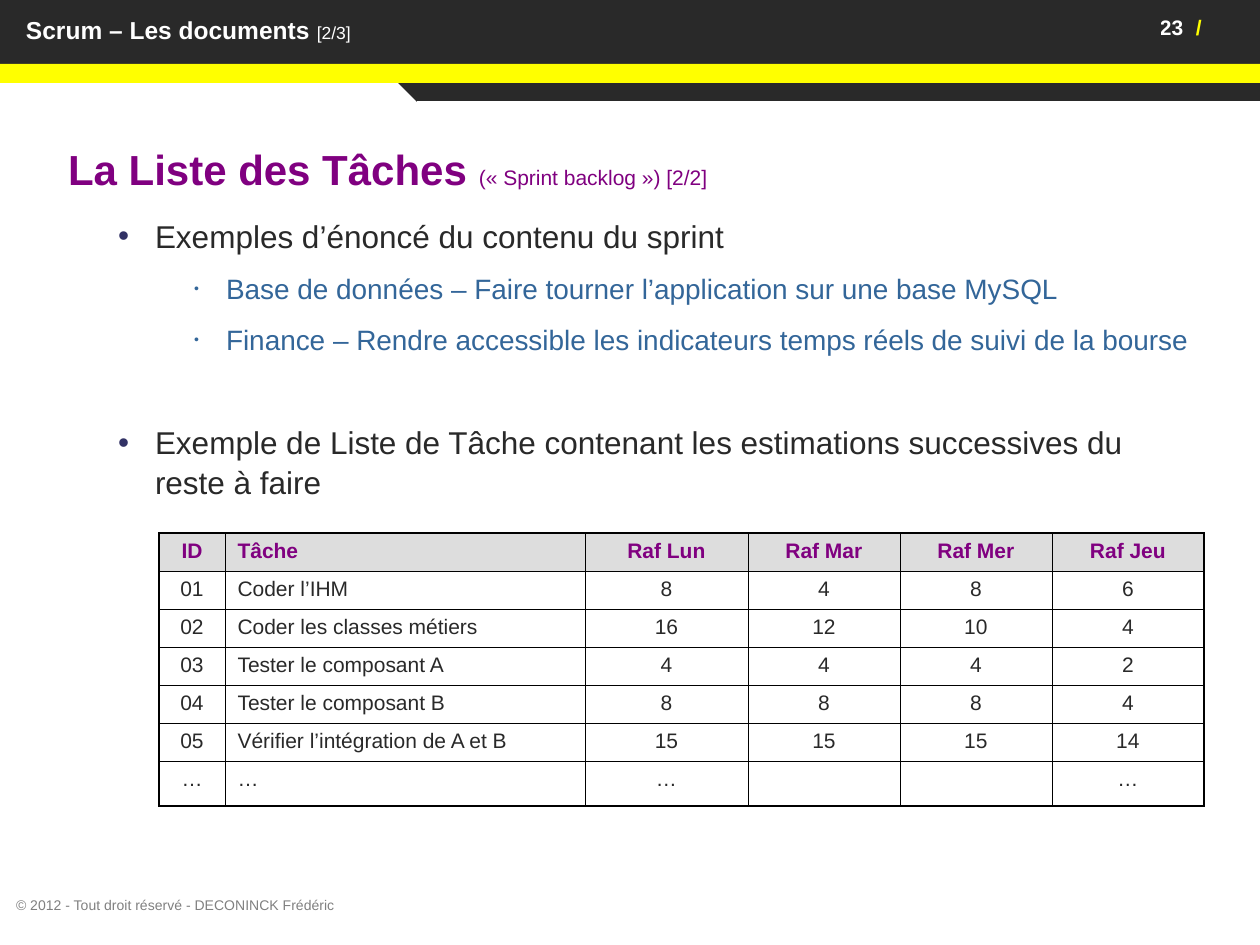
import lxml.etree
import pptx
import pptx.dml.color
import pptx.enum.shapes
import pptx.enum.text
import pptx.oxml.ns
import pptx.util

SCALE = 914400 / 126
FONT = "Arial"
DARK, WHITE, YELLOW = "292929", "FFFFFF", "FFFF00"
PURPLE, NAVY, BLUE = "800080", "323265", "336699"
GREY, PALE, BLACK = "808080", "DDDDDD", "000000"
ALIGN = pptx.enum.text.PP_ALIGN
ANCHOR = pptx.enum.text.MSO_ANCHOR
KIND = pptx.enum.shapes.MSO_SHAPE

HEAD = ["ID", "Tâche", "Raf Lun", "Raf Mar", "Raf Mer", "Raf Jeu"]
TASKS = [
    ["01", "Coder l’IHM", "8", "4", "8", "6"],
    ["02", "Coder les classes métiers", "16", "12", "10", "4"],
    ["03", "Tester le composant A", "4", "4", "4", "2"],
    ["04", "Tester le composant B", "8", "8", "8", "4"],
    ["05", "Vérifier l’intégration de A et B", "15", "15", "15", "14"],
    ["…", "…", "…", "", "", "…"],
]


def px(num):
    return pptx.util.Emu(round(num * SCALE))


def color(code):
    return pptx.dml.color.RGBColor.from_string(code)


def node(parent, tag, **attrs):
    return lxml.etree.SubElement(parent, pptx.oxml.ns.qn(tag), attrs)


class Deck:
    def __init__(self, width, height):
        self.file = pptx.Presentation()
        self.file.slide_width = px(width)
        self.file.slide_height = px(height)
        self.slide = self.file.slides.add_slide(self.file.slide_layouts[5])

    def style(self, font, size=None, code=None, bold=None):
        if size:
            font.size = pptx.util.Pt(size)
        if code:
            font.color.rgb = color(code)
        if bold is not None:
            font.bold = bold

    def plain(self, par, text, size, code, bold=False):
        par.font.name = FONT
        self.style(par.font, size, code, bold)
        par.add_run().text = text

    def mixed(self, par, code, *parts):
        par.font.name = FONT
        self.style(par.font, code=code)
        for text, size, bold in parts:
            run = par.add_run()
            run.text = text
            self.style(run.font, size, bold=bold)

    def block(self, shape, box, sides=0, ends=0):
        shape.left, shape.top, shape.width, shape.height = map(px, box)
        frame = shape.text_frame
        frame.word_wrap = True
        frame.auto_size = pptx.enum.text.MSO_AUTO_SIZE.NONE
        frame.vertical_anchor = ANCHOR.TOP
        frame.margin_left = frame.margin_right = px(sides)
        frame.margin_top = frame.margin_bottom = px(ends)
        frame.paragraphs[0].alignment = ALIGN.LEFT
        return frame

    def title(self, box, code, *parts):
        shape = self.slide.shapes.title
        shape.element.getparent().append(shape.element)
        shape.fill.solid()
        shape.fill.fore_color.rgb = color(DARK)
        self.mixed(self.block(shape, box, 13).paragraphs[0], code, *parts)

    def text(self, box, sides=0, ends=0):
        shape = self.slide.shapes.add_textbox(*map(px, box))
        return self.block(shape, box, sides, ends)

    def shape(self, kind, box, code, turn=0):
        shape = self.slide.shapes.add_shape(kind, *map(px, box))
        shape.shadow.inherit = False
        shape.fill.solid()
        shape.fill.fore_color.rgb = color(code)
        shape.line.fill.background()
        shape.rotation = turn

    def bullet(self, frame, text, size, code, left, hang, mark, scale, gap):
        par = frame.add_paragraph()
        props = par._p.get_or_add_pPr()
        props.set("marL", str(px(left)))
        props.set("indent", str(-px(hang)))
        node(node(props, "a:buClr"), "a:srgbClr", val=mark)
        node(props, "a:buSzPct", val=str(scale * 1000))
        node(props, "a:buFont", typeface=FONT)
        node(props, "a:buChar", char="•")
        par.space_before = pptx.util.Pt(gap)
        self.plain(par, text, size, code)

    def border(self, cell, edges):
        props = cell._tc.get_or_add_tcPr()
        for tag, outer in edges.items():
            width = pptx.util.Pt(1.08 if outer else 0.45)
            line = node(props, tag, w=str(width))
            node(node(line, "a:solidFill"), "a:srgbClr", val=BLACK)

    def table(self, left, top, cols, rows, data):
        frame = self.slide.shapes.add_table(
            len(rows), len(cols), px(left), px(top), px(sum(cols)), px(sum(rows)))
        grid = frame.table
        grid.first_row = grid.horz_banding = False
        for col, width in zip(grid.columns, cols):
            col.width = px(width)
        for row, height in zip(grid.rows, rows):
            row.height = px(height)
        for r, line in enumerate(data):
            for c, text in enumerate(line):
                cell = grid.cell(r, c)
                self.border(cell, {
                    "a:lnL": c == 0, "a:lnR": c == len(cols) - 1,
                    "a:lnT": r == 0, "a:lnB": r == len(rows) - 1})
                if r == 0:
                    cell.fill.solid()
                    cell.fill.fore_color.rgb = color(PALE)
                else:
                    cell.fill.background()
                if not text:
                    cell.margin_bottom = 0
                    continue
                par = cell.text_frame.paragraphs[0]
                par.alignment = ALIGN.LEFT if c == 1 else ALIGN.CENTER
                self.plain(par, text, 12, DARK if r else PURPLE, r == 0)


def main():
    deck = Deck(1260, 945)
    deck.shape(KIND.RIGHT_TRIANGLE, (389, 74, 28, 28), DARK, 180)
    deck.shape(KIND.RECTANGLE, (417, 82, 843, 19), DARK)
    deck.shape(KIND.RECTANGLE, (0, 0, 1260, 67), DARK)
    deck.shape(KIND.RECTANGLE, (0, 64, 1260, 19), YELLOW)

    page = deck.text((1160, 15, 100, 25)).paragraphs[0]
    stops = node(page._p.get_or_add_pPr(), "a:tabLst")
    node(stops, "a:tab", pos=str(px(36)), algn="l")
    deck.mixed(page, WHITE, ("23\t", 12, True), ("/", 12, True))
    page.runs[1].font.color.rgb = color(YELLOW)

    deck.title((13, 15, 1148, 29), WHITE,
               ("Scrum – Les documents ", 14, True), ("[2/3]", 10, False))

    body = deck.text((55, 135, 1155, 362), 13, 6)
    lead = body.paragraphs[0]
    lead.space_after = pptx.util.Pt(3)
    deck.mixed(lead, PURPLE, ("La Liste des Tâches ", 24, True),
               ("(« Sprint backlog ») [2/2]", 12, False))
    first = (18, DARK, 87, 37, NAVY, 100)
    second = (16, BLUE, 158, 32, BLUE, 50)
    for text, look, gap in [
        ("Exemples d’énoncé du contenu du sprint", first, 9),
        ("Base de données – Faire tourner l’application sur une base MySQL",
         second, 9),
        ("Finance – Rendre accessible les indicateurs temps réels de suivi de la bourse",
         second, 9),
        ("Exemple de Liste de Tâche contenant les estimations successives du reste à faire",
         first, 37),
    ]:
        deck.bullet(body, text, *look, gap)
    for par in body.paragraphs:
        par.line_spacing = 1.05

    deck.table(159, 533, [66, 360, 163] + [152] * 3, [38] * 6 + [42],
               [HEAD] + TASKS)

    foot = deck.text((16, 897, 940, 16))
    foot.vertical_anchor = ANCHOR.MIDDLE
    deck.plain(foot.paragraphs[0],
               "© 2012 - Tout droit réservé - DECONINCK Frédéric", 8, GREY)
    deck.file.save("out.pptx")


if __name__ == "__main__":
    main()
